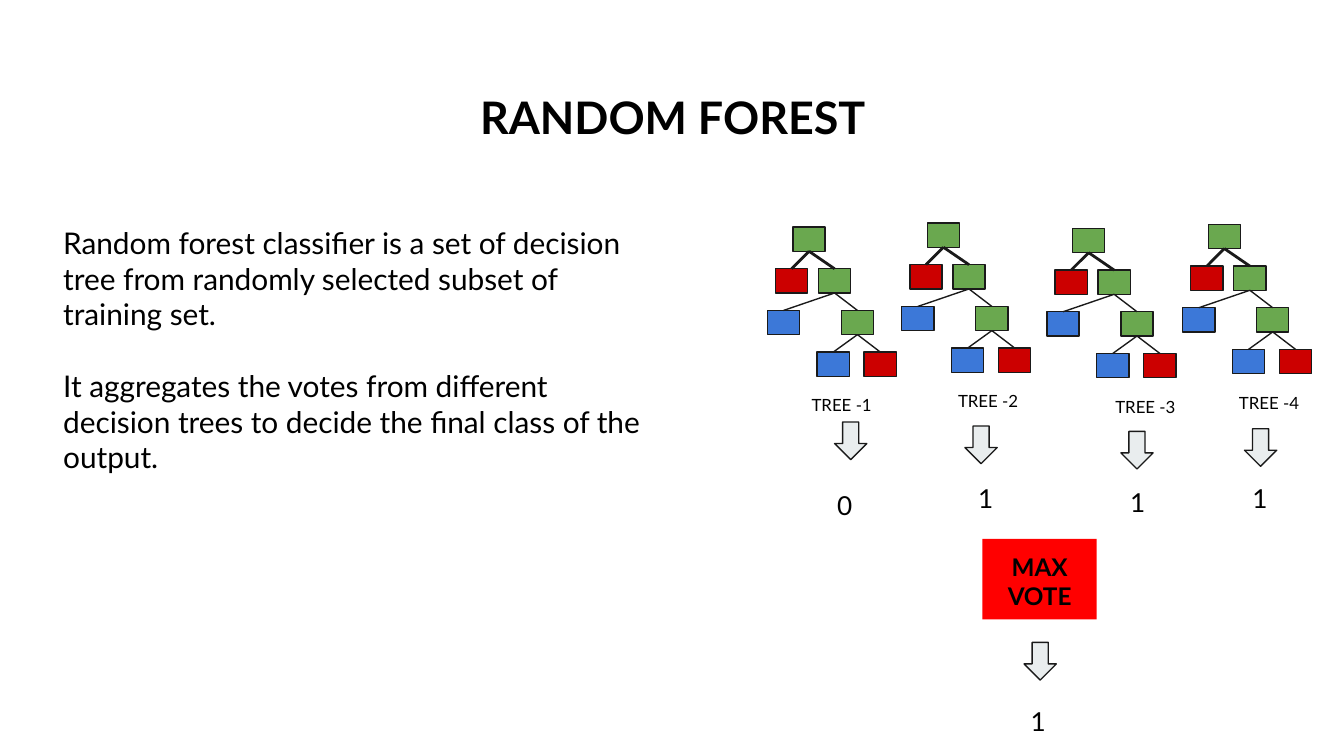
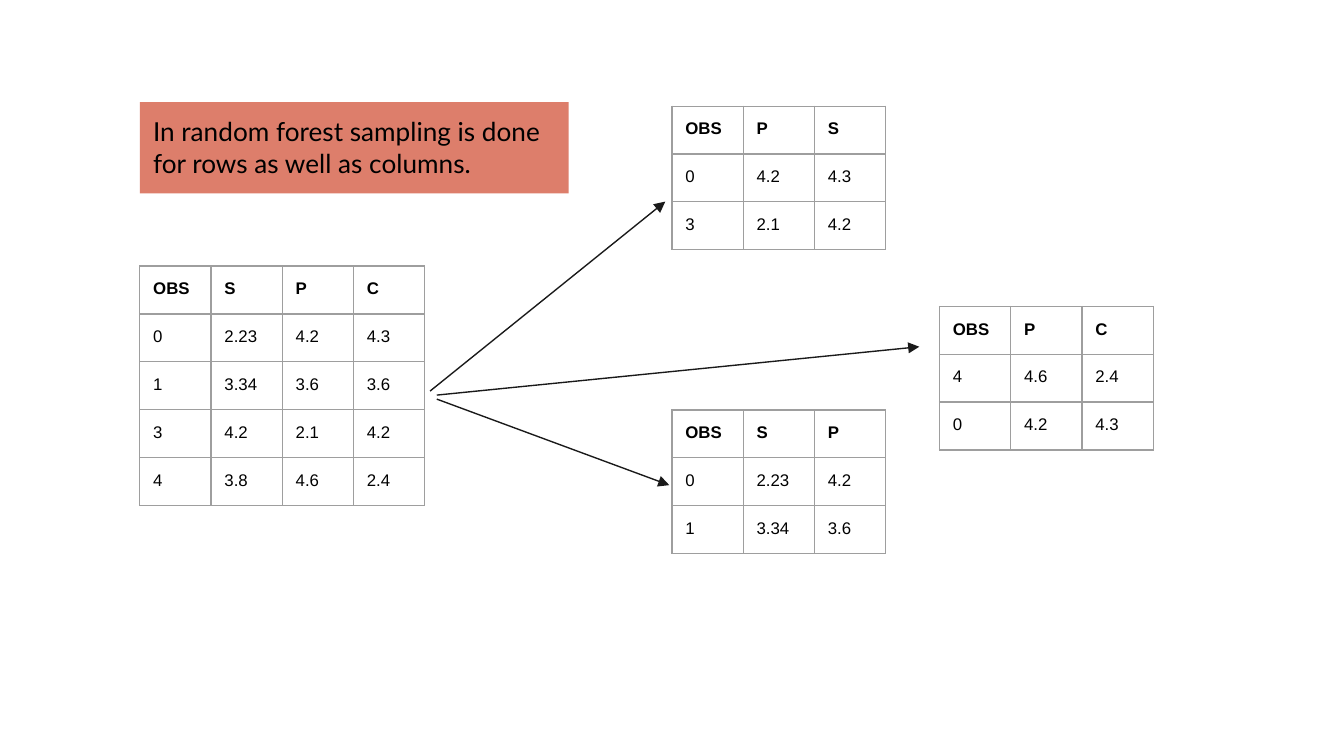
from dataclasses import dataclass
from typing import NamedTuple

from lxml import etree
from pptx import Presentation
from pptx.dml.color import RGBColor
from pptx.enum.shapes import MSO_CONNECTOR, MSO_SHAPE
from pptx.enum.text import MSO_ANCHOR, MSO_AUTO_SIZE, PP_ALIGN
from pptx.oxml.ns import qn
from pptx.util import Inches, Pt

RECTANGLE = MSO_SHAPE.RECTANGLE
DOWN_ARROW = MSO_SHAPE.DOWN_ARROW
STRAIGHT = MSO_CONNECTOR.STRAIGHT
TOP, MIDDLE = MSO_ANCHOR.TOP, MSO_ANCHOR.MIDDLE
LEFT, CENTER = PP_ALIGN.LEFT, PP_ALIGN.CENTER
NO_AUTOFIT = MSO_AUTO_SIZE.NONE

TITLE_AND_BODY, BLANK = 1, 6
SLIDE_WIDTH = 10
SLIDE_HEIGHT = SLIDE_WIDTH * 9 / 16
HEADING_FONT, TABLE_FONT = "Lato", "Arial"
BLACK, OUTLINE, WHITE = "000000", "1A1A1A", "FFFFFF"
GREEN, BLUE, RED = "6AA84F", "3C78D8", "CC0000"
ARROW_FILL, VOTE_FILL, NOTE_FILL = "E9EDEE", "FF0000", "DD7E6B"
TABLE_BORDER = "9E9E9E"

INSET = 0.1
NODE_WIDTH, NODE_HEIGHT, LEVEL_STEP = 0.24, 0.18, 0.31
ARROW_WIDTH, ARROW_HEIGHT = 0.24, 0.28
COLUMN_WIDTH, ROW_HEIGHT = 0.53, 1.78 / 5
THIN, THICK = 0.75, 1.5


class Point(NamedTuple):
    x: float
    y: float


class Box(NamedTuple):
    left: float
    top: float
    width: float
    height: float


class Node(NamedTuple):
    offset: float
    level: int
    color: str


class Edge(NamedTuple):
    parent: str
    child: str
    width: float


@dataclass
class Tree:
    name: str
    root: Point
    label: Point
    arrow: Point
    vote: str
    vote_at: Point


@dataclass
class Sample:
    """A table of observations, with its header row first."""
    at: Point
    rows: list[list[str]]


NODES = {
    "root": Node(0, 0, GREEN),
    "root leaf": Node(-0.13, 1, RED),
    "branch": Node(0.19, 1, GREEN),
    "branch leaf": Node(-0.19, 2, BLUE),
    "twig": Node(0.36, 2, GREEN),
    "left leaf": Node(0.18, 3, BLUE),
    "right leaf": Node(0.53, 3, RED),
}
EDGES = [
    Edge("root", "root leaf", THICK),
    Edge("root", "branch", THICK),
    Edge("branch", "branch leaf", THIN),
    Edge("branch", "twig", THIN),
    Edge("twig", "left leaf", THIN),
    Edge("twig", "right leaf", THIN),
]
TREES = [
    Tree("TREE -1", Point(5.9, 1.69), Point(5.94, 2.84), Point(6.21, 3.14), "0", Point(6.13, 3.54)),
    Tree("TREE -2", Point(6.9, 1.66), Point(7.03, 2.81), Point(7.18, 3.17), "1", Point(7.18, 3.49)),
    Tree("TREE -3", Point(7.98, 1.7), Point(8.2, 2.85), Point(8.34, 3.21), "1", Point(8.31, 3.52)),
    Tree("TREE -4", Point(8.99, 1.67), Point(9.12, 2.82), Point(9.26, 3.19), "1", Point(9.22, 3.49)),
]
EXPLANATION = [
    "Random forest classifier is a set of decision tree from randomly selected subset of training set.",
    "It aggregates the votes from different decision trees to decide the final class of the output.",
]
SAMPLES = [
    Sample(Point(1.04, 1.98), [
        ["OBS", "S", "P", "C"],
        ["0", "2.23", "4.2", "4.3"],
        ["1", "3.34", "3.6", "3.6"],
        ["3", "4.2", "2.1", "4.2"],
        ["4", "3.8", "4.6", "2.4"],
    ]),
    Sample(Point(5, 0.79), [["OBS", "P", "S"], ["0", "4.2", "4.3"], ["3", "2.1", "4.2"]]),
    Sample(Point(5, 3.05), [["OBS", "S", "P"], ["0", "2.23", "4.2"], ["1", "3.34", "3.6"]]),
    Sample(Point(6.99, 2.28), [["OBS", "P", "C"], ["4", "4.6", "2.4"], ["0", "4.2", "4.3"]]),
]
SAMPLING_ARROWS = [
    (Point(3.2, 2.91), Point(4.95, 1.5)),
    (Point(3.25, 2.94), Point(6.84, 2.58)),
    (Point(3.25, 2.97), Point(4.98, 3.61)),
]


def rgb(color: str) -> RGBColor:
    return RGBColor.from_string(color)


def lengths(values) -> list[int]:
    return [Inches(value) for value in values]


def add_run(paragraph, text: str, size: float, bold: bool = False, font: str = HEADING_FONT) -> None:
    run = paragraph.add_run()
    run.text = text
    run.font.name = font
    run.font.size = Pt(size)
    run.font.bold = bold
    run.font.color.rgb = rgb(BLACK)


def prepare_frame(frame, anchor=TOP) -> None:
    frame.auto_size = NO_AUTOFIT
    frame.word_wrap = True
    frame.vertical_anchor = anchor
    frame.margin_left = frame.margin_right = Inches(INSET)
    frame.margin_top = frame.margin_bottom = Inches(INSET)


def write(shape, text: str, size: float, bold: bool = False, align=LEFT, anchor=TOP) -> None:
    prepare_frame(shape.text_frame, anchor)
    paragraph = shape.text_frame.paragraphs[0]
    paragraph.alignment = align
    add_run(paragraph, text, size, bold)


def place(shape, box: Box) -> None:
    shape.left, shape.top, shape.width, shape.height = lengths(box)


def add_text(slide, box: Box, text: str, size: float) -> None:
    write(slide.shapes.add_textbox(*lengths(box)), text, size)


def add_filled(slide, kind, box: Box, fill: str, outlined: bool = True):
    shape = slide.shapes.add_shape(kind, *lengths(box))
    shape.shadow.inherit = False
    shape.fill.solid()
    shape.fill.fore_color.rgb = rgb(fill)
    if outlined:
        shape.line.color.rgb = rgb(OUTLINE)
        shape.line.width = Pt(THIN)
    else:
        shape.line.fill.background()
    return shape


def add_line(slide, start: Point, end: Point, width: float = THIN, arrow: bool = False) -> None:
    connector = slide.shapes.add_connector(STRAIGHT, *lengths(start + end))
    connector.line.color.rgb = rgb(OUTLINE)
    connector.line.width = Pt(width)
    properties = connector._element.spPr
    if arrow:
        etree.SubElement(properties.find(qn("a:ln")), qn("a:tailEnd"), type="triangle")
    etree.SubElement(properties, qn("a:effectLst"))


def add_down_arrow(slide, at: Point) -> None:
    add_filled(slide, DOWN_ARROW, Box(*at, ARROW_WIDTH, ARROW_HEIGHT), ARROW_FILL)


def add_vote(slide, at: Point, vote: str) -> None:
    add_text(slide, Box(*at, 0.5, 0.28), vote, 14)


def add_tree(slide, tree: Tree) -> None:
    corners = {
        name: Point(tree.root.x + node.offset, tree.root.y + node.level * LEVEL_STEP)
        for name, node in NODES.items()
    }
    for name, corner in corners.items():
        add_filled(slide, RECTANGLE, Box(*corner, NODE_WIDTH, NODE_HEIGHT), NODES[name].color)
    for edge in EDGES:
        parent, child = corners[edge.parent], corners[edge.child]
        start = Point(parent.x + NODE_WIDTH / 2, parent.y + NODE_HEIGHT)
        end = Point(child.x + NODE_WIDTH / 2, child.y)
        add_line(slide, start, end, edge.width)
    add_text(slide, Box(*tree.label, 0.71, 0.32), tree.name, 9)
    add_down_arrow(slide, tree.arrow)
    add_vote(slide, tree.vote_at, tree.vote)


def add_borders(cell) -> None:
    properties = cell._tc.get_or_add_tcPr()
    for side in ("a:lnL", "a:lnR", "a:lnT", "a:lnB"):
        line = etree.SubElement(properties, qn(side), w=str(Pt(THIN)))
        fill = etree.SubElement(line, qn("a:solidFill"))
        etree.SubElement(fill, qn("a:srgbClr"), val=TABLE_BORDER)


def add_sample(slide, sample: Sample) -> None:
    row_count, column_count = len(sample.rows), len(sample.rows[0])
    box = Box(*sample.at, column_count * COLUMN_WIDTH, row_count * ROW_HEIGHT)
    table = slide.shapes.add_table(row_count, column_count, *lengths(box)).table
    table.first_row = table.horz_banding = False
    for column in table.columns:
        column.width = Inches(COLUMN_WIDTH)
    for row_index, values in enumerate(sample.rows):
        table.rows[row_index].height = Inches(ROW_HEIGHT)
        for column_index, value in enumerate(values):
            cell = table.cell(row_index, column_index)
            cell.margin_left = cell.margin_right = Inches(INSET)
            cell.margin_top = cell.margin_bottom = Inches(INSET)
            cell.vertical_anchor = TOP
            add_borders(cell)
            cell.fill.background()
            add_run(cell.text_frame.paragraphs[0], value, 9, row_index == 0, TABLE_FONT)


def add_slide(presentation, layout: int):
    slide = presentation.slides.add_slide(presentation.slide_layouts[layout])
    slide.background.fill.solid()
    slide.background.fill.fore_color.rgb = rgb(WHITE)
    return slide


def write_body(body, texts: list[str]) -> None:
    frame = body.text_frame
    prepare_frame(frame)
    for index, text in enumerate(texts):
        paragraph = frame.add_paragraph() if index else frame.paragraphs[0]
        paragraph.alignment = LEFT
        paragraph.space_before = Pt(19 if index else 0)
        properties = paragraph._p.get_or_add_pPr()
        properties.set("marL", "0")
        properties.set("indent", "0")
        etree.SubElement(properties, qn("a:buNone"))
        add_run(paragraph, text, 16)


def build_forest_slide(presentation) -> None:
    slide = add_slide(presentation, TITLE_AND_BODY)
    title, body = slide.shapes.title, slide.placeholders[1]
    place(title, Box(1.5, 0.57, 7.01, 0.6))
    write(title, "RANDOM FOREST", 24, bold=True, align=CENTER, anchor=MIDDLE)
    place(body, Box(0.37, 1.57, 4.52, 3.24))
    write_body(body, EXPLANATION)
    for tree in TREES:
        add_tree(slide, tree)
    max_vote = add_filled(slide, RECTANGLE, Box(7.31, 4.01, 0.85, 0.6), VOTE_FILL, outlined=False)
    write(max_vote, "MAX VOTE", 13, bold=True, align=CENTER)
    add_down_arrow(slide, Point(7.62, 4.78))
    add_vote(slide, Point(7.57, 5.15), "1")


def build_sampling_slide(presentation) -> None:
    slide = add_slide(presentation, BLANK)
    for sample in SAMPLES:
        add_sample(slide, sample)
    for start, end in SAMPLING_ARROWS:
        add_line(slide, start, end, arrow=True)
    note = add_filled(slide, RECTANGLE, Box(1.04, 0.76, 3.19, 0.68), NOTE_FILL, outlined=False)
    write(note, "In random forest sampling is done for rows as well as columns.", 14)


def main() -> None:
    presentation = Presentation()
    presentation.slide_width = Inches(SLIDE_WIDTH)
    presentation.slide_height = Inches(SLIDE_HEIGHT)
    build_forest_slide(presentation)
    build_sampling_slide(presentation)
    presentation.save("out.pptx")


if __name__ == "__main__":
    main()
